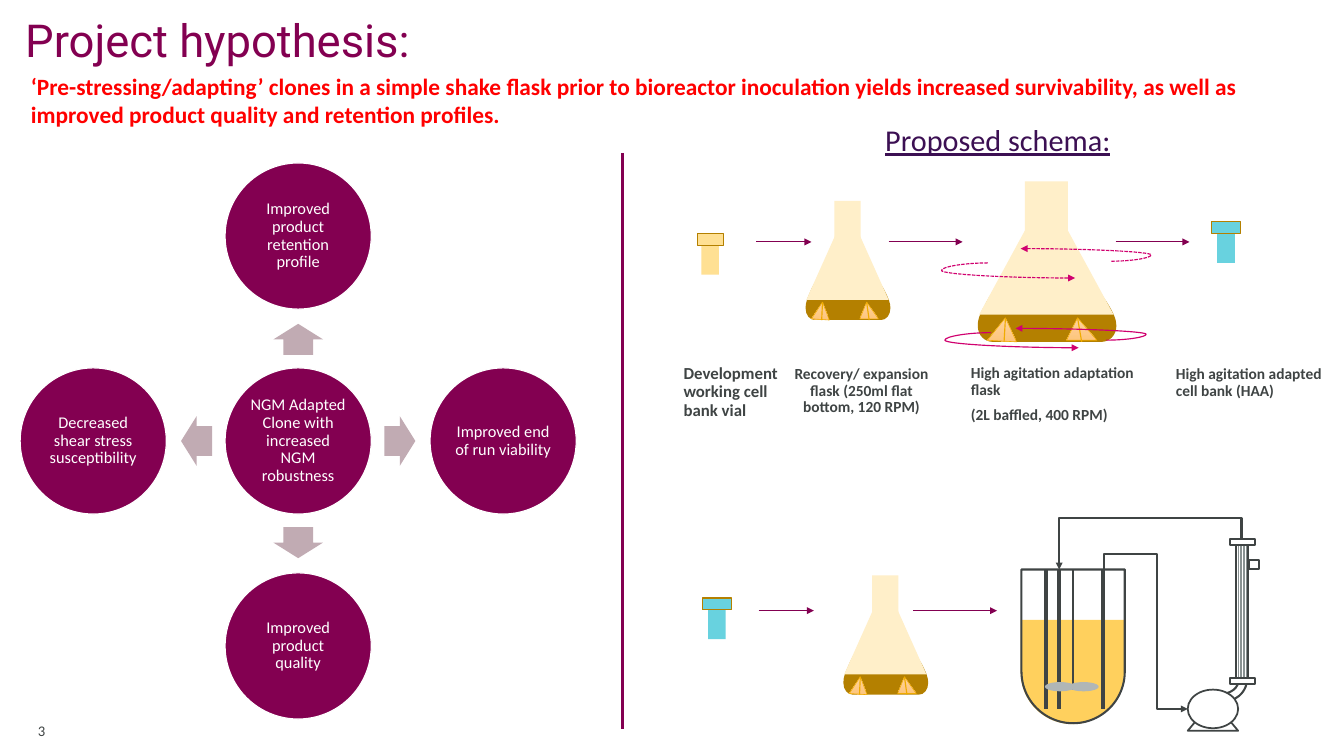
from lxml.etree import SubElement
from pptx import Presentation
from pptx.dml.color import RGBColor
from pptx.enum.dml import MSO_LINE, MSO_PATTERN
from pptx.enum.shapes import MSO_CONNECTOR, MSO_SHAPE
from pptx.enum.text import MSO_ANCHOR, PP_ALIGN
from pptx.oxml.ns import qn
from pptx.util import Cm, Pt

COLORS = {
    "plum": "830051", "mauve": "C1ABB3", "red": "FF0000", "purple": "3C1053",
    "slate": "3F4444", "white": "FFFFFF", "magenta": "D0006F", "cream": "FFEFC9",
    "medium": "B48000", "yellow": "FFE093", "teal": "68D2DF", "gold": "F0AB00",
    "baffle top": "FFD39E", "baffle bottom": "FDC57C", "broth": "FFD05D",
    "impeller": "B0B6B6", "fiber": "899292",
}
FLASK_BODY_START = (0.31, 0.44)
FLASK_BODY = [
    [(0.37, 0.42), (0.32, 0.43), (0.38, 0.43)],
    [(0.6, 0.4)],
    [(0.66, 0.4), (0.73, 0.46), (0.73, 0.51)],
    [(0.78, 0.57), (0.88, 0.69), (0.93, 0.75)],
    [(0.98, 0.82), (1, 0.86), (1, 0.9)],
    [(1, 0.96), (0.95, 1), (0.89, 1)],
    [(0.11, 1)],
    [(0.05, 1), (0, 0.96), (0, 0.9)],
    [(0, 0.85), (0.02, 0.82), (0.07, 0.74)],
    [(0.12, 0.66), (0.26, 0.49), (0.31, 0.44)],
]
BAFFLES = [
    ([(0.07, 0.99), (0.2, 0.85), (0.28, 1)], 0.19),
    ([(0.64, 0.99), (0.72, 0.85), (0.86, 0.99)], 0.75),
]


def color(name):
    return RGBColor.from_string(COLORS[name])


def inches(*values):
    return [Cm(value * 2.54) for value in values]


def paint(shape, fill=None, line=None, width=1):
    shape.shadow.inherit = False
    if fill:
        shape.fill.solid()
        shape.fill.fore_color.rgb = color(fill)
    else:
        shape.fill.background()
    if line:
        shape.line.color.rgb = color(line)
        shape.line.width = Pt(width)
    else:
        shape.line.fill.background()


def add_block(slide, kind, box, fill=None, line=None, width=1, rotation=0, adjustments=()):
    shape = slide.shapes.add_shape(kind, *inches(*box))
    paint(shape, fill, line, width)
    shape.rotation = rotation
    for index, value in enumerate(adjustments):
        shape.adjustments[index] = value
    return shape


def add_outline(slide, points, closed=True, **style):
    start, *others = [inches(*point) for point in points]
    builder = slide.shapes.build_freeform(*start)
    builder.add_line_segments(others, close=closed)
    shape = builder.convert_to_shape()
    paint(shape, **style)
    return shape


def bend_segments(shape, sizes):
    steps = iter(list(shape.element.spPr.iter(qn("a:lnTo"))))
    for size in sizes:
        first, *others = [next(steps) for _ in range(size)]
        if others:
            first.tag = qn("a:cubicBezTo")
            for step in others:
                first.append(step[0])
                step.getparent().remove(step)


def add_arrowhead(shape):
    SubElement(shape.element.spPr.find(qn("a:ln")), qn("a:tailEnd"), type="triangle")


def add_line(slide, start, end, line, width=1, arrow=False, bend=None, dashed=False):
    kind = MSO_CONNECTOR.STRAIGHT if bend is None else MSO_CONNECTOR.CURVE
    connector = slide.shapes.add_connector(kind, *inches(*start, *end))
    connector.line.color.rgb = color(line)
    connector.line.width = Pt(width)
    if dashed:
        connector.line.dash_style = MSO_LINE.SQUARE_DOT
    if arrow:
        add_arrowhead(connector)
    properties = connector.element.spPr
    if bend is not None:
        guides = properties.find(qn("a:prstGeom")).find(qn("a:avLst"))
        SubElement(guides, qn("a:gd"), name="adj1", fmla=f"val {round(bend * 100000)}")
    SubElement(properties, qn("a:effectLst"))


def write(frame, paragraphs, size, ink, bold=False, underline=False, font="Calibri",
          align=PP_ALIGN.LEFT, spacing=0.9, after=7.2):
    frame.word_wrap = True
    for index, text in enumerate(paragraphs):
        paragraph = frame.paragraphs[0] if index == 0 else frame.add_paragraph()
        paragraph.text = text
        paragraph.alignment = align
        paragraph.line_spacing = spacing
        paragraph.space_after = Pt(after)
        paragraph.font.name = font
        paragraph.font.size = Pt(size)
        paragraph.font.bold = bold
        paragraph.font.underline = underline
        paragraph.font.color.rgb = color(ink)


def set_margins(frame, left, top, right, bottom):
    frame.margin_left, frame.margin_top, frame.margin_right, frame.margin_bottom = inches(
        left, top, right, bottom)


def add_text(slide, box, paragraphs, size, ink, margins=(0.1, 0.05, 0.1, 0.05),
             anchor=MSO_ANCHOR.TOP, **style):
    frame = slide.shapes.add_textbox(*inches(*box)).text_frame
    set_margins(frame, *margins)
    frame.vertical_anchor = anchor
    write(frame, paragraphs, size, ink, **style)


def add_benefit(slide, text, across=0, down=0, rotation=None):
    center_x, center_y, distance, diameter = 3.55, 5.25, 2.44, 1.74
    if rotation is not None:
        arrow = (center_x + across * 1.21 - 0.185, center_y + down * 1.21 - 0.295, 0.37, 0.59)
        add_block(slide, MSO_SHAPE.RIGHT_ARROW, arrow, "mauve", rotation=rotation,
                  adjustments=(0.6, 0.5))
    box = (center_x + across * distance - diameter / 2,
           center_y + down * distance - diameter / 2, diameter, diameter)
    frame = add_block(slide, MSO_SHAPE.OVAL, box, "plum", "white").text_frame
    set_margins(frame, 0.02, 0.02, 0.02, 0.02)
    frame.vertical_anchor = MSO_ANCHOR.MIDDLE
    write(frame, [text], 14, "white", align=PP_ALIGN.CENTER, after=0)


def add_vial(slide, left, top, cap_width, fill):
    tube = (left + cap_width / 2 - 0.105, top + 0.13, 0.21, 0.36)
    add_block(slide, MSO_SHAPE.RECTANGLE, tube, fill)
    add_block(slide, MSO_SHAPE.RECTANGLE, (left, top, cap_width, 0.14), fill, "medium")


def add_flask(slide, left, top, width, height):
    def place(point):
        return left + point[0] * width, top + point[1] * height

    def part(x, y, w, h):
        return *place((x, y)), w * width, h * height

    add_block(slide, MSO_SHAPE.RECTANGLE, part(0.34, 0, 0.31, 0.39), "cream")
    corners = [FLASK_BODY_START, *sum(FLASK_BODY, [])]
    body = add_outline(slide, [place(point) for point in corners], fill="medium")
    bend_segments(body, [len(segment) for segment in FLASK_BODY])
    add_block(slide, MSO_SHAPE.ISOSCELES_TRIANGLE, part(0.01, 0.06, 0.97, 0.77), "cream")
    for corners, foot in BAFFLES:
        baffle = add_outline(slide, [place(point) for point in corners], line="gold", width=0.5)
        baffle.fill.gradient()
        baffle.fill.gradient_angle = 270
        for stop, name in zip(baffle.fill.gradient_stops, ("baffle top", "baffle bottom")):
            stop.color.rgb = color(name)
        add_line(slide, place(corners[1]), place((foot, 1)), "gold")


def add_swirl(slide, left_start, left_end, right_start, right_end, dashed):
    add_line(slide, left_start, left_end, "magenta", 1, True, -0.53, dashed)
    add_line(slide, right_start, right_end, "magenta", 1, True, -0.44, dashed)


def add_bioreactor(slide):
    vessel = {"rotation": 180, "adjustments": (0.5, 0)}
    add_block(slide, MSO_SHAPE.ROUND_2_SAME_RECTANGLE, (12.15, 7.38, 1.23, 1.24), "broth", **vessel)
    add_block(slide, MSO_SHAPE.BLOCK_ARC, (14.32, 7.83, 0.49, 0.56), None, "slate", 1.75, 76.9,
              (173.6, 213.1, 0.2))
    add_block(slide, MSO_SHAPE.ISOSCELES_TRIANGLE, (14.14, 8.34, 0.6, 0.36), None, "slate", 1.5)
    add_block(slide, MSO_SHAPE.OVAL, (14.14, 8.21, 0.6, 0.46), "white", "slate", 1.5)
    add_block(slide, MSO_SHAPE.ROUND_2_SAME_RECTANGLE, (12.16, 6.78, 1.23, 1.83), None, "slate",
              1.75, **vessel)
    column = add_block(slide, MSO_SHAPE.RECTANGLE, (14.72, 6.48, 0.14, 1.59), None, "slate", 1.75)
    column.fill.patterned()
    column.fill.pattern = MSO_PATTERN.NARROW_VERTICAL
    column.fill.fore_color.rgb = color("fiber")
    column.fill.back_color.rgb = color("white")
    add_block(slide, MSO_SHAPE.RECTANGLE, (14.87, 6.67, 0.12, 0.1), None, "slate", 1.75)
    for top in (6.42, 8.07):
        add_block(slide, MSO_SHAPE.RECTANGLE, (14.64, top, 0.3, 0.07), "white", "slate", 1.75)
    for x, bottom, width in ((12.45, 8.44, 3.25), (12.61, 8.44, 3.25), (13.13, 8.44, 3.25),
                             (12.77, 8.21, 1.5)):
        add_line(slide, (x, 6.78), (x, bottom), "slate", width)
    for left in (12.72, 12.44):
        add_block(slide, MSO_SHAPE.OVAL, (left, 8.12, 0.36, 0.11), "impeller")
    for pipe in ([(13.14, 6.78), (13.14, 6.6), (13.77, 6.6), (13.77, 8.44), (14.14, 8.44)],
                 [(14.78, 6.42), (14.78, 6.17), (12.61, 6.17), (12.61, 6.78)]):
        add_arrowhead(add_outline(slide, pipe, closed=False, line="slate", width=1.75))


def main():
    presentation = Presentation()
    presentation.slide_width, presentation.slide_height = inches(16, 9)
    slide = presentation.slides.add_slide(presentation.slide_layouts[6])
    add_text(slide, (0.3, 0.14, 14.93, 0.7), ["Project hypothesis:"], 38.9, "plum",
             (0, 0, 0, 0), font="Roboto", spacing=1, after=0)
    add_text(slide, (0, 8.47, 0.54, 0.41), ["3"], 12.6, "slate", (0, 0, 0, 0.08),
             MSO_ANCHOR.BOTTOM, align=PP_ALIGN.RIGHT, spacing=1, after=0)
    add_text(slide, (0.27, 0.81, 15.4, 0.77), [
        "‘Pre-stressing/adapting’ clones in a simple shake flask prior to bioreactor inoculation "
        "yields increased survivability, as well as improved product quality and retention "
        "profiles."], 20, "red", bold=True, spacing=1, after=0)
    add_benefit(slide, "NGM Adapted Clone with increased NGM robustness")
    add_benefit(slide, "Improved product retention profile", 0, -1, 270)
    add_benefit(slide, "Improved end of run viability", 1, 0, 0)
    add_benefit(slide, "Improved product quality", 0, 1, 90)
    add_benefit(slide, "Decreased shear stress susceptibility", -1, 0, 180)
    add_line(slide, (7.41, 1.82), (7.41, 8.68), "plum", 2.25)
    add_text(slide, (10.44, 1.44, 2.9, 0.49), ["Proposed schema:"], 25.9, "purple", underline=True)
    for vial in ((8.3, 2.78, 0.31, "yellow"), (14.42, 2.64, 0.35, "teal"),
                 (8.36, 7.12, 0.35, "teal")):
        add_vial(slide, *vial)
    for flask in ((9.59, 2.39, 1.01, 1.42), (11.64, 2.16, 1.65, 1.91), (10.04, 6.85, 1.01, 1.42)):
        add_flask(slide, *flask)
    for start, end, y in ((9, 9.66, 2.88), (10.58, 11.46, 2.88), (13.28, 14.16, 2.88),
                          (9.03, 9.69, 7.27), (10.87, 11.87, 7.27)):
        add_line(slide, (start, y), (end, y), "plum", arrow=True)
    add_swirl(slide, (11.8, 3.96), (12.84, 4.14), (13.17, 4.05), (12.09, 3.91), False)
    add_swirl(slide, (11.76, 3.13), (12.8, 3.31), (13.23, 3.11), (12.15, 2.96), True)
    for box, size, align, paragraphs in (
        ((8.04, 4.3, 1.47, 0.76), 14.4, PP_ALIGN.LEFT, ["Development working cell bank vial"]),
        ((9.33, 4.31, 1.85, 0.7), 13.2, PP_ALIGN.CENTER,
         ["Recovery/ expansion flask (250ml flat bottom, 120 RPM)"]),
        ((11.46, 4.3, 2.44, 1.29), 13.2, PP_ALIGN.LEFT,
         ["High agitation adaptation flask", "(2L baffled, 400 RPM)"]),
        ((13.9, 4.31, 2.16, 1.48), 13.2, PP_ALIGN.LEFT, ["High agitation adapted cell bank (HAA)"]),
    ):
        add_text(slide, box, paragraphs, size, "slate", bold=True, align=align)
    add_bioreactor(slide)
    presentation.save("out.pptx")


if __name__ == "__main__":
    main()
